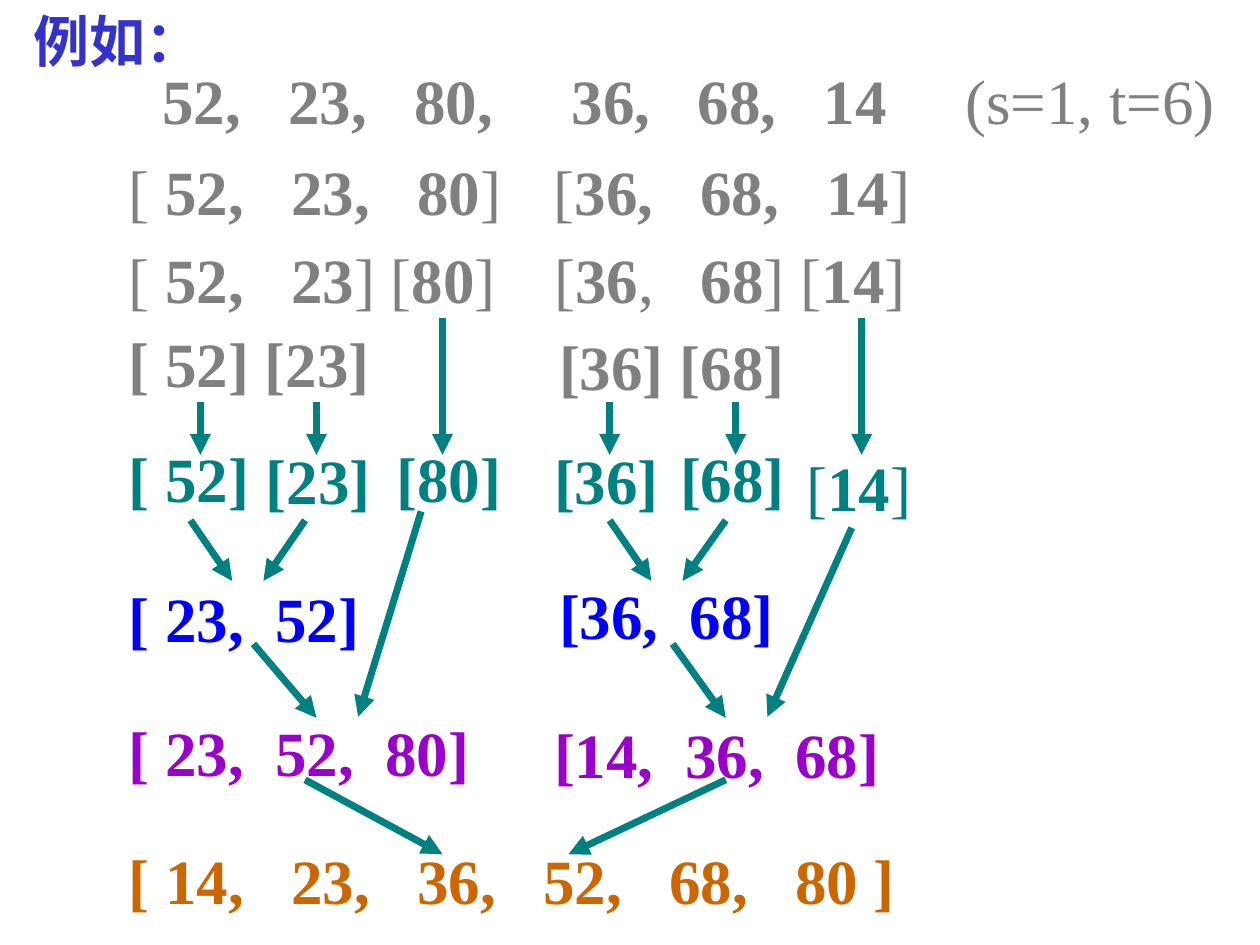
import lxml.etree
import pptx
import pptx.dml.color
import pptx.enum.shapes
import pptx.enum.text
import pptx.oxml.ns
import pptx.util

Cm = pptx.util.Cm
GRAY, TEAL, BLUE, PURPLE, ORANGE, INDIGO = (
    "808080", "008080", "0000FF", "9900CC", "CC6600", "3333CC")
STEP = 2.54
ROW_HEIGHT = 1.78


def color(value):
    """Turn a hex string into a colour."""
    return pptx.dml.color.RGBColor.from_string(value)


def add_element(parent, tag, **attributes):
    """Append a DrawingML element to its parent."""
    return lxml.etree.SubElement(parent, pptx.oxml.ns.qn(tag), attributes)


def add_text(page, text, left, top, width, *, fill, tabs=(), size=36, height=ROW_HEIGHT):
    """Add one line of text in which asterisks switch bold on and off."""
    box = page.shapes.add_textbox(Cm(left), Cm(top), Cm(width + 0.1), Cm(height))
    frame = box.text_frame
    frame.word_wrap = True
    frame.auto_size = pptx.enum.text.MSO_AUTO_SIZE.SHAPE_TO_FIT_TEXT
    para = frame.paragraphs[0]
    if tabs:
        stops = add_element(para._p.get_or_add_pPr(), "a:tabLst")
        for tab in tabs:
            add_element(stops, "a:tab", pos=str(int(Cm(tab))), algn="l")
    for index, part in enumerate(text.split("*")):
        if part:
            span = para.add_run()
            span.text = part
            span.font.name = "Times New Roman"
            span.font.size = pptx.util.Pt(size)
            span.font.bold = index % 2 == 1
            span.font.color.rgb = color(fill)


def add_arrow(page, left, top, start_x, start_y, end_x, end_y):
    """Add an arrow between two points relative to a corner."""
    arrow = page.shapes.add_connector(
        pptx.enum.shapes.MSO_CONNECTOR.STRAIGHT,
        Cm(left + start_x), Cm(top + start_y), Cm(left + end_x), Cm(top + end_y))
    arrow.line.color.rgb = color(TEAL)
    arrow.line.width = pptx.util.Pt(4)
    add_element(arrow.line._get_or_add_ln(), "a:tailEnd", type="triangle")
    add_element(arrow._element.spPr, "a:effectLst")


def draw_heading(page, left, top):
    """Draw the title, the whole list and its first split."""
    add_text(page, "*例如：*", left, top, 3.91, fill=INDIGO, size=32, height=1.6)
    add_text(page, "*52,\t23,\t80,\t36,\t68,\t14*\t(s=1, t=6)", left + 2.59, top + 1.12,
             21.74, fill=GRAY, tabs=(2.54, 5.08, 8.26, 10.8, 13.34, 16.19))
    add_text(page, "[ *52,\t23,\t80*]\t[*36,\t68,\t14*]", left + 1.91, top + 2.95,
             16.28, fill=GRAY, tabs=(3.28, 5.82, 8.57, 11.53, 14.07))


def draw_half(page, left, top, rows, drops, merges):
    """Draw how one half is split into single items and merged again."""
    for text, x, y, width, fill, tabs in rows:
        add_text(page, text, left + x, top + y, width, fill=fill, tabs=tabs)
    for x, start_y in zip(drops, (3.38, 3.38, 1.7)):
        add_arrow(page, left, top, x, start_y, x, 4.45)
    for points in merges:
        add_arrow(page, left, top, *points)


def draw_result(page, left, top):
    """Draw the last merge and the sorted list."""
    add_arrow(page, left, top, 3.81, 0, 6.58, 1.5)
    add_arrow(page, left, top, 12.29, 0, 9.12, 1.5)
    add_text(page, "*[ 14,\t23,\t36,\t52,\t68,\t80 ]*", left, top + 1.12, 15.95,
             fill=ORANGE, tabs=[0.74 + STEP * n for n in range(1, 6)])


LEFT_ROWS = [
    ("[ *52,\t23*] [*80*]", 0, 0, 7.92, GRAY, (3.28,)),
    ("*[ 52] [23]*", 0, 1.7, 5.92, GRAY, ()),
    ("*[ 52]*", 0, 4.01, 3.18, TEAL, ()),
    ("*[23]*", 2.77, 4.06, 2.62, TEAL, ()),
    ("*[80]*", 5.4, 4.01, 2.62, TEAL, ()),
    ("*[ 23,\t52]*", 0, 6.83, 5.16, BLUE, (2.96,)),
    ("*[ 23,\t52,\t80]*", 0, 9.53, 7.39, PURPLE, (2.96, 5.18)),
]
LEFT_MERGES = [
    (1.5, 5.77, 2.34, 6.99), (3.81, 5.77, 2.97, 6.99),
    (2.77, 8.26, 4.04, 9.75), (6.15, 5.59, 4.88, 9.73),
]
RIGHT_ROWS = [
    ("[*36*,\t*68*] [*14*]", 0, 0, 7.59, GRAY, (2.96,)),
    ("*[36] [68]*", 0.1, 1.75, 5.05, GRAY, ()),
    ("*[36]*", 0, 4.06, 2.62, TEAL, ()),
    ("*[68]*", 2.54, 4.01, 2.62, TEAL, ()),
    ("[*14*]", 5.08, 4.19, 2.62, TEAL, ()),
    ("*[36,\t68]*", 0.1, 6.78, 4.85, BLUE, (2.64,)),
    ("*[14,\t36,\t68]*", 0, 9.58, 7.06, PURPLE, (2.64, 4.86)),
]
RIGHT_MERGES = [
    (1.37, 5.77, 2.21, 6.99), (3.71, 5.77, 2.84, 6.99),
    (2.64, 8.26, 3.71, 9.75), (6.25, 5.92, 4.55, 9.73),
]


def main():
    """Build the merge sort slide."""
    deck = pptx.Presentation()
    deck.slide_width, deck.slide_height = Cm(25.4), Cm(19.05)
    page = deck.slides.add_slide(deck.slide_layouts[6])
    draw_heading(page, 0.43, 0)
    draw_half(page, 2.34, 4.72, LEFT_ROWS, (1.7, 4.04, 6.58), LEFT_MERGES)
    draw_half(page, 10.92, 4.72, RIGHT_ROWS, (1.37, 3.91, 6.45), RIGHT_MERGES)
    draw_result(page, 2.34, 15.72)
    deck.save("out.pptx")


if __name__ == "__main__":
    main()
